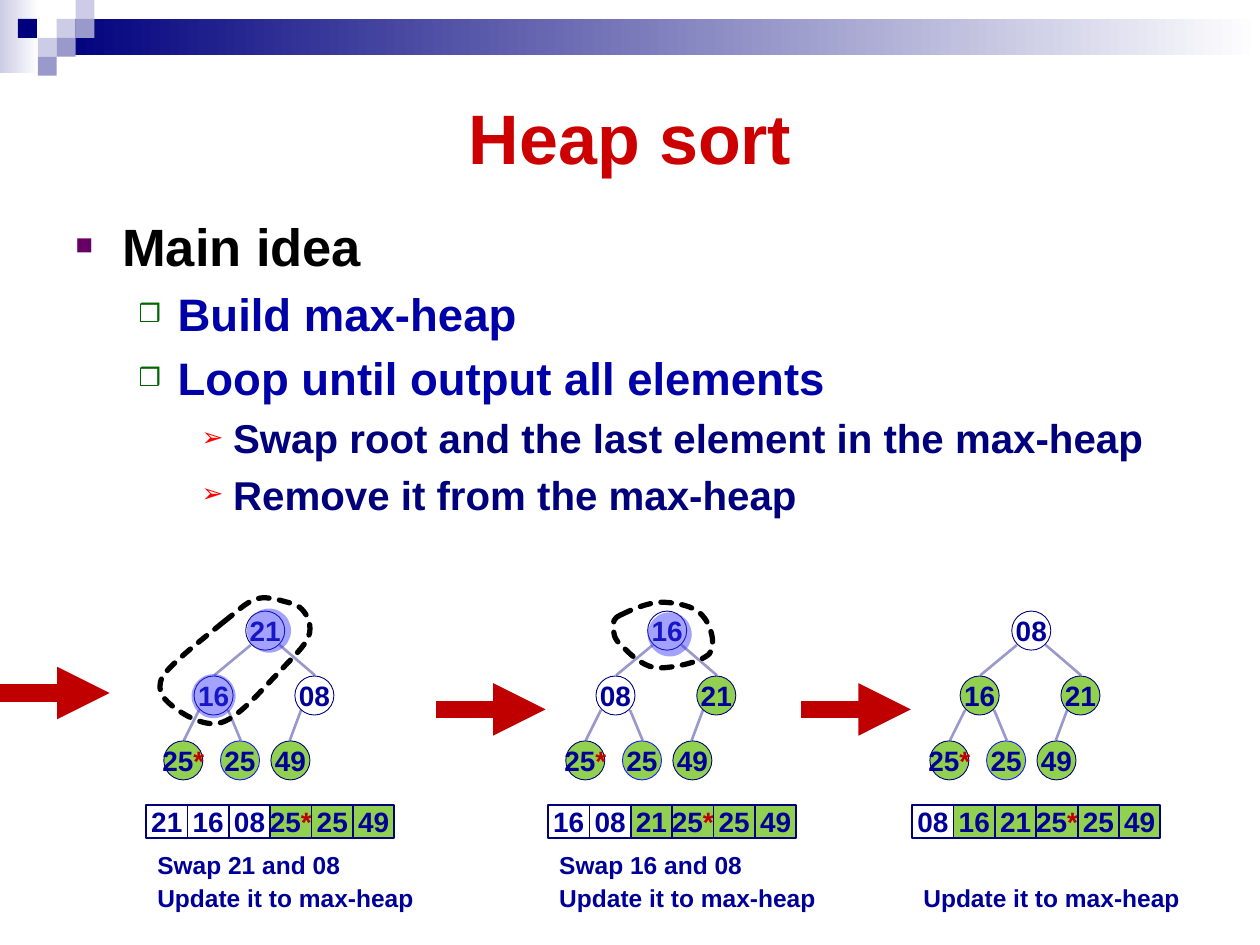
from lxml.etree import SubElement
from pptx import Presentation
from pptx.dml.color import RGBColor
from pptx.enum.dml import MSO_LINE
from pptx.enum.shapes import MSO_CONNECTOR, MSO_SHAPE as SHAPE
from pptx.enum.text import MSO_ANCHOR, MSO_AUTO_SIZE as AUTO, PP_ALIGN
from pptx.oxml.ns import qn
from pptx.util import Inches, Pt

COLORS = {
    "navy": "00007D", "lavender": "CCCCE6", "periwinkle": "9999CC", "white": "FFFFFF",
    "title": "CC0000", "black": "000000", "level_two": "0000A8", "digits": "000099",
    "star": "C00000", "sorted": "92D050", "bright": "1818FF", "highlight": "3333FF",
    "square": "660066", "box": "006600", "pointer": "FF0000",
}
UNIT = 0.15                         # header mosaic square
CELL_W, CELL_H, ARRAY_TOP = 1.97 / 6, 0.26, 6.39
NODE, TREE_TOP, TREE_ROW = 0.31, 4.85, 1.03 / 2
# Heap order: node offset from the left of the array, and tree row
NODES = [(0.79, 0), (0.38, 1), (1.18, 1), (0.14, 2), (0.59, 2), (0.99, 2)]
# Parent row, x offset at the parent, x offset at the child
EDGES = [(0, 0.83, 0.54), (0, 1.06, 1.34), (1, 0.42, 0.3), (1, 0.65, 0.75), (1, 1.23, 1.14)]
# Header squares: column, row, colour
MOSAIC = [(3, 1, "lavender"), (4, 0, "lavender"), (4, 1, "periwinkle"), (2, 2, "lavender"),
          (0.95, 1, "navy"), (3, 2, "periwinkle"), (2, 3, "periwinkle")]
# Level: size, text colour, left margin, hanging indent, bullet, bullet colour, bullet size
LEVELS = [(30, "black", 0.37, 0.37, "■", "square", 55),
          (26, "level_two", 0.81, 0.31, "❒", "box", 55),
          (23, "navy", 1.25, 0.25, "➢", "pointer", 65)]
OUTLINE = [(0, "Main idea"), (1, "Build max-heap"), (1, "Loop until output all elements"),
           (2, "Swap root and the last element in the max-heap"),
           (2, "Remove it from the max-heap")]
PAIR_LOOP = [(1.77, 4.94), (1.65, 5.04), (1.36, 5.26), (1.29, 5.37), (1.23, 5.49),
             (1.31, 5.56), (1.39, 5.62), (1.47, 5.68), (1.64, 5.78), (1.77, 5.73),
             (1.91, 5.68), (2.1, 5.45), (2.21, 5.34), (2.32, 5.22), (2.42, 5.13),
             (2.45, 5.05), (2.48, 4.97), (2.44, 4.88), (2.4, 4.84), (2.36, 4.79),
             (2.27, 4.78), (2.21, 4.76), (2.14, 4.75), (2.09, 4.73), (2.02, 4.76),
             (1.94, 4.79), (1.9, 4.84), (1.77, 4.94)]
ROOT_LOOP = [(4.93, 4.88), (4.86, 4.91), (4.87, 4.94), (4.87, 4.98), (4.87, 5.02),
             (4.87, 5.07), (4.93, 5.12), (4.98, 5.17), (5.08, 5.28), (5.2, 5.3),
             (5.31, 5.31), (5.56, 5.26), (5.63, 5.19), (5.69, 5.12), (5.64, 4.95),
             (5.57, 4.88), (5.51, 4.81), (5.36, 4.78), (5.25, 4.78), (5.14, 4.78),
             (4.99, 4.85), (4.93, 4.88)]
UPDATE = "Update it to max-heap"
STAGES = [
    dict(left=1.16, heap=3, values="21 16 08 25* 25 49", notes=["Swap 21 and 08", UPDATE],
         arrow=(0, 5.5), halos=[(1.52, 5.35), (1.96, 4.83)], loop=PAIR_LOOP),
    dict(left=4.35, heap=2, values="16 08 21 25* 25 49", notes=["Swap 16 and 08", UPDATE],
         arrow=(3.46, 5.63), halos=[(5.14, 4.86)], loop=ROOT_LOOP),
    dict(left=7.24, heap=1, values="08 16 21 25* 25 49", notes=[UPDATE],
         arrow=(6.36, 5.63), halos=[], loop=None),
]


def rgb(color):
    return RGBColor.from_string(COLORS[color])


def apply(target, **values):
    for attribute, value in values.items():
        setattr(target, attribute, value)


def write(paragraph, text, size, color):
    run = paragraph.add_run()
    run.text = text
    apply(run.font, name="Arial", size=Pt(size), bold=True)
    run.font.color.rgb = rgb(color)


def add_box(shapes, kind, place, fill=None, line=None, width=0.5):
    box = shapes.add_shape(kind, *map(Inches, place))
    box.shadow.inherit = False
    if fill:
        box.fill.solid()
        box.fill.fore_color.rgb = rgb(fill)
    else:
        box.fill.background()
    if line:
        box.line.color.rgb = rgb(line)
        box.line.width = Pt(width)
    else:
        box.line.fill.background()
    return box


def add_gradient(shapes, place, start):
    band = add_box(shapes, SHAPE.RECTANGLE, place)
    band.fill.gradient()
    band.fill.gradient_angle = 0
    for stop, color, position in zip(band.fill.gradient_stops, (start, "white"), (0, 1)):
        stop.color.rgb = rgb(color)
        stop.position = position


def add_value(box, value):
    """Centre a number in a node or cell, its star in red."""
    frame = box.text_frame
    apply(frame, word_wrap=False, vertical_anchor=MSO_ANCHOR.MIDDLE)
    paragraph = frame.paragraphs[0]
    paragraph.alignment = PP_ALIGN.CENTER
    write(paragraph, value.rstrip("*"), 16, "digits")
    if value.endswith("*"):
        write(paragraph, "*", 16, "star")


def add_line(shapes, start, end, color, width, arrow=False):
    line = shapes.add_connector(MSO_CONNECTOR.STRAIGHT, *map(Inches, start + end))
    line.line.color.rgb = rgb(color)
    line.line.width = Pt(width)
    if arrow:
        SubElement(line.line._get_or_add_ln(), qn("a:tailEnd"), type="triangle")
    SubElement(line._element.spPr, qn("a:effectLst"))


def add_loop(shapes, controls):
    """Dashed closed outline; every three points after the first make one cubic curve."""
    points = [(Inches(x), Inches(y)) for x, y in controls]
    builder = shapes.build_freeform(*points[0])
    builder.add_line_segments(points[1:], close=True)
    loop = builder.convert_to_shape()
    segments = list(loop._element.spPr.iter(qn("a:lnTo")))
    for first in range(0, len(controls) - 1, 3):
        curve = segments[first]
        outline = curve.getparent()
        cubic = outline.makeelement(qn("a:cubicBezTo"))
        outline.replace(curve, cubic)
        for segment in segments[first:first + 3]:
            cubic.append(segment[0])
            if segment is not curve:
                outline.remove(segment)
    loop.shadow.inherit = False
    loop.fill.background()
    loop.line.color.rgb = rgb("black")
    apply(loop.line, width=Pt(3), dash_style=MSO_LINE.SQUARE_DOT)
    loop.line._get_or_add_ln().set("cap", "rnd")


def add_halo(shapes, left, top):
    halo = add_box(shapes, SHAPE.OVAL, (left, top, 0.35, 0.35), "highlight")
    color = halo._element.spPr.find(qn("a:solidFill")).find(qn("a:srgbClr"))
    SubElement(color, qn("a:alpha"), val="45000")


def add_note(shapes, left, top, text):
    width = 1.66 if text != UPDATE else 2.24
    frame = shapes.add_textbox(*map(Inches, (left, top, width, 0.34))).text_frame
    apply(frame, word_wrap=False, auto_size=AUTO.SHAPE_TO_FIT_TEXT)
    write(frame.paragraphs[0], text, 14, "digits")


def add_header(slide):
    shapes = slide.shapes.add_group_shape().shapes
    add_gradient(shapes, (0, 0, 0.31, 0.58), "lavender")
    add_gradient(shapes, (3 * UNIT, UNIT, 10 - 3 * UNIT, 0.29), "navy")
    for column, row, color in MOSAIC:
        add_box(shapes, SHAPE.RECTANGLE, (column * UNIT, row * UNIT, UNIT, UNIT), color)


def fill_title(title):
    apply(title, left=Inches(0.5), top=Inches(0.5), width=Inches(9), height=Inches(1.16))
    apply(title.text_frame, vertical_anchor=MSO_ANCHOR.MIDDLE, auto_size=AUTO.NONE)
    paragraph = title.text_frame.paragraphs[0]
    paragraph.alignment = PP_ALIGN.CENTER
    write(paragraph, "Heap sort", 40, "title")


def fill_outline(body):
    apply(body, left=Inches(0.5), top=Inches(1.62), width=Inches(9), height=Inches(5.2))
    frame = body.text_frame
    frame.auto_size = AUTO.NONE
    for number, (level, text) in enumerate(OUTLINE):
        paragraph = frame.add_paragraph() if number else frame.paragraphs[0]
        size, color, margin, hanging, bullet, bullet_color, percent = LEVELS[level]
        apply(paragraph, level=level, line_spacing=1.05)
        props = paragraph._p.get_or_add_pPr()
        props.set("marL", str(Inches(margin)))
        props.set("indent", str(-Inches(hanging)))
        SubElement(SubElement(props, qn("a:spcBef")), qn("a:spcPct"), val="15000")
        SubElement(SubElement(props, qn("a:buClr")), qn("a:srgbClr"), val=COLORS[bullet_color])
        SubElement(props, qn("a:buSzPct"), val=str(percent * 1000))
        SubElement(props, qn("a:buFont"), typeface="Arial")
        SubElement(props, qn("a:buChar"), char=bullet)
        write(paragraph, text, size, color)


def add_stage(shapes, left, heap, values, notes, arrow, halos, loop):
    """One step: arrow, heap tree, array and notes; values past the heap are sorted."""
    x, y = arrow
    add_line(shapes, (x, y), (x + 0.87, y), "star", 10, arrow=True)
    for row, start, end in EDGES:
        top = TREE_TOP + row * TREE_ROW + 0.27
        add_line(shapes, (left + start, top), (left + end, top + 0.24), "periwinkle", 1.5)
    cells = shapes.add_group_shape().shapes
    for index, (value, (offset, row)) in enumerate(zip(values.split(), NODES)):
        done = index >= heap
        node = add_box(shapes, SHAPE.OVAL, (left + offset, TREE_TOP + row * TREE_ROW, NODE, NODE),
                       "sorted" if done else "white", "bright" if index == 4 else "navy")
        cell = add_box(cells, SHAPE.RECTANGLE, (left + index * CELL_W, ARRAY_TOP, CELL_W, CELL_H),
                       "sorted" if done else None, "navy", 1)
        add_value(node, value)
        add_value(cell, value)
    for halo in halos:
        add_halo(shapes, *halo)
    if loop:
        add_loop(shapes, loop)
    for line, note in enumerate(reversed(notes)):
        add_note(shapes, left - 0.01, 6.96 - line * 0.26, note)


def main():
    deck = Presentation()
    apply(deck, slide_width=Inches(10), slide_height=Inches(7.5))
    slide = deck.slides.add_slide(deck.slide_layouts[1])
    add_header(slide)
    fill_title(slide.shapes.title)
    fill_outline(slide.placeholders[1])
    for stage in STAGES:
        add_stage(slide.shapes, **stage)
    deck.save("out.pptx")


if __name__ == "__main__":
    main()
